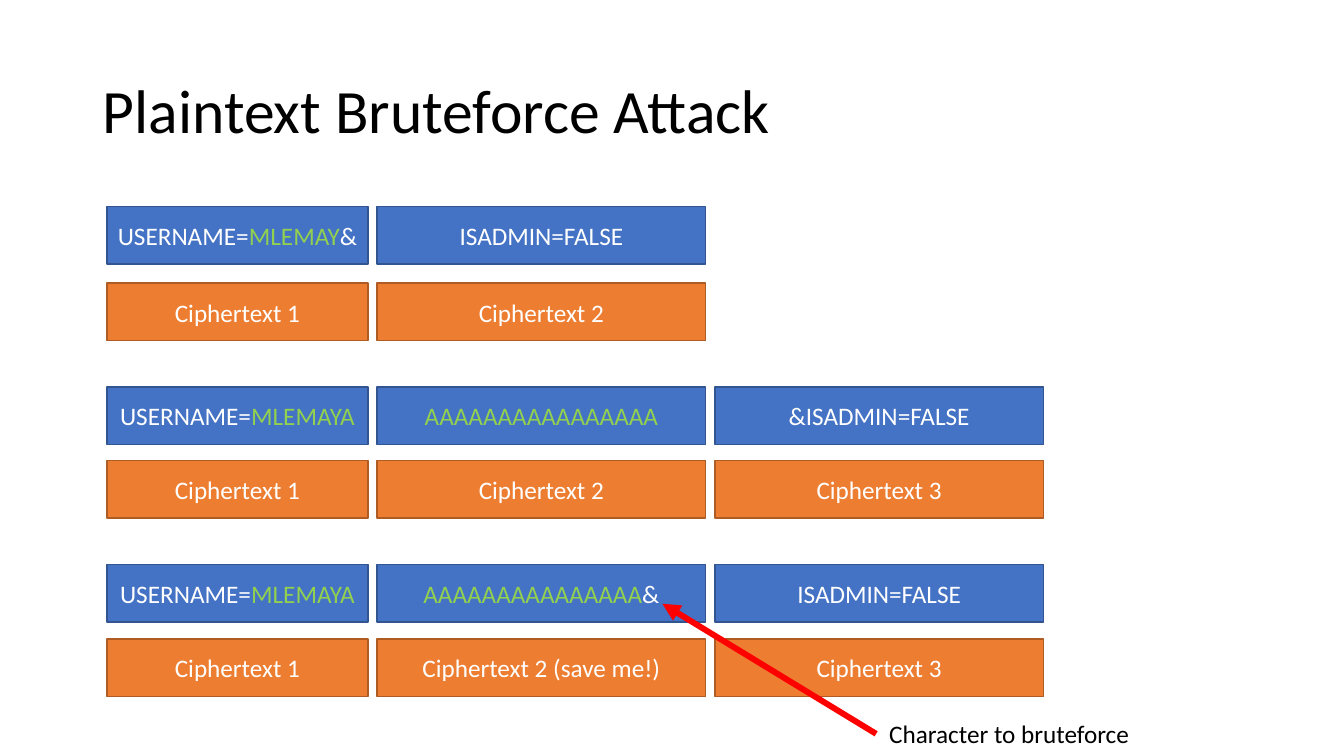
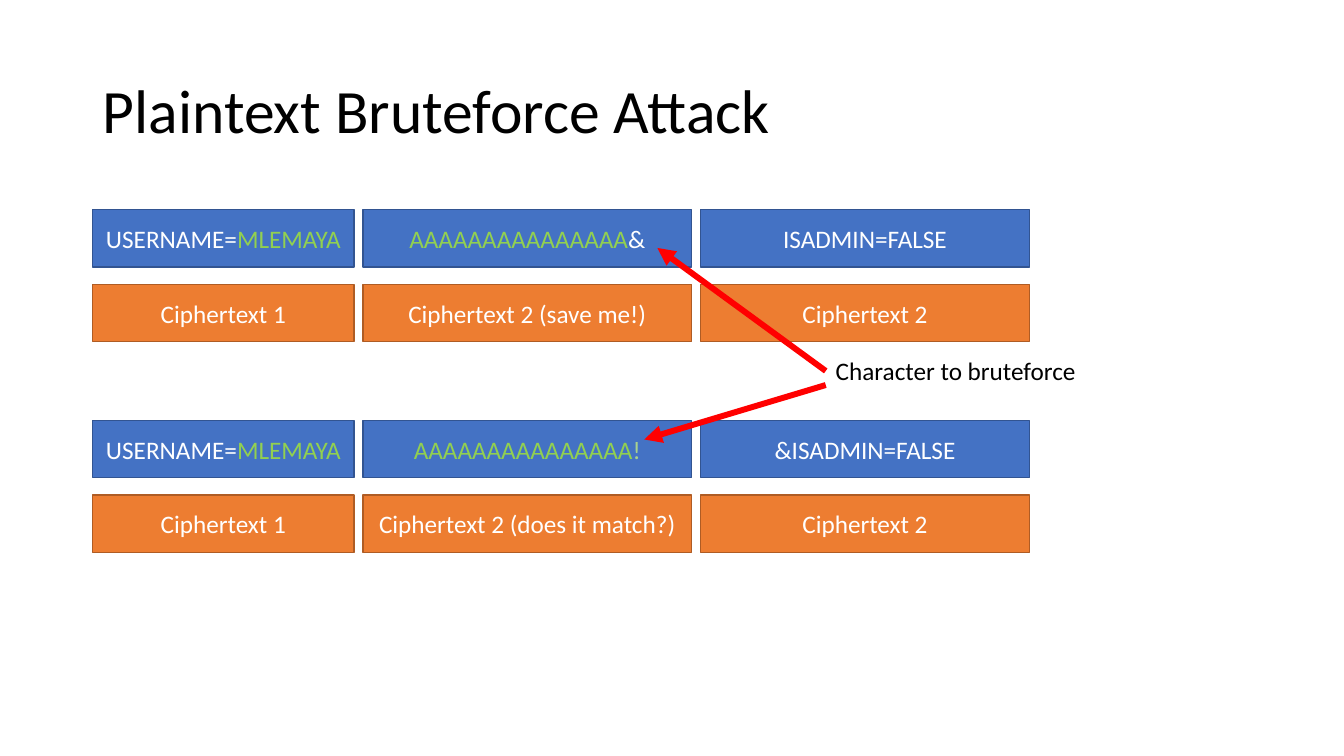
"""Build two slides on a plaintext bruteforce attack."""
import dataclasses
import itertools

import pptx
import pptx.dml.color
import pptx.enum.shapes
import pptx.enum.text
import pptx.oxml
import pptx.oxml.ns
import pptx.util

Inches = pptx.util.Inches
Pt = pptx.util.Pt
Align = pptx.enum.text.PP_ALIGN
Anchor = pptx.enum.text.MSO_ANCHOR
Fit = pptx.enum.text.MSO_AUTO_SIZE


@dataclasses.dataclass(frozen=True)
class Theme:
    """Hold the colours, type sizes and line widths of the deck."""
    font: str = "Calibri"
    text: str = "000000"
    light: str = "FFFFFF"
    user: str = "92D050"
    guess: str = "A9D18E"
    plain: tuple = ("4472C4", "325491")
    cipher: tuple = ("ED7D31", "AF5C24")
    arrow: str = "FF0000"
    head_size: int = 44
    text_size: int = 18
    edge: float = 1
    stroke: float = 4.25


THEME = Theme()
WIDTHS = (2.59, 3.26, 3.26)
HEIGHT = 0.57
GAP = 0.09
TITLE = "Plaintext Bruteforce Attack"
LABEL = "Character to bruteforce"

NAME = [("USERNAME=", THEME.light), ("MLEMAYA", THEME.user)]
SHORT = [("USERNAME=", THEME.light), ("MLEMAY", THEME.user), ("&", THEME.light)]
FULL = [("A" * 16, THEME.user)]
OPEN = [("A" * 15, THEME.user), ("&", THEME.light)]
GUESS = [("A" * 15, THEME.user), ("!", THEME.guess)]
ADMIN = [("ISADMIN=FALSE", THEME.light)]
JOINED = [("&ISADMIN=FALSE", THEME.light)]


def rgb(code):
    """Turn a hex code into a colour."""
    return pptx.dml.color.RGBColor.from_string(code)


def write(para, runs, size=THEME.text_size):
    """Add pairs of text and colour to a paragraph, run by run."""
    for text, color in runs:
        run = para.add_run()
        run.text = text
        run.font.name = THEME.font
        run.font.size = Pt(size)
        run.font.color.rgb = rgb(color)


def add_title(slide, left, top, width, height):
    """Place and fill the title of a slide."""
    title = slide.shapes.title
    title.left, title.top = Inches(left), Inches(top)
    title.width, title.height = Inches(width), Inches(height)
    frame = title.text_frame
    frame.auto_size = Fit.NONE
    frame.vertical_anchor = Anchor.MIDDLE
    para = frame.paragraphs[0]
    para.alignment = Align.LEFT
    para.line_spacing = 0.9
    write(para, [(TITLE, THEME.text)], THEME.head_size)


def add_block(slide, left, top, width, paint, runs):
    """Draw one block of plain or cipher text."""
    block = slide.shapes.add_shape(
        pptx.enum.shapes.MSO_SHAPE.RECTANGLE,
        Inches(left), Inches(top), Inches(width), Inches(HEIGHT))
    block.shadow.inherit = False
    fill, edge = paint
    block.fill.solid()
    block.fill.fore_color.rgb = rgb(fill)
    block.line.color.rgb = rgb(edge)
    block.line.width = Pt(THEME.edge)
    frame = block.text_frame
    frame.word_wrap = True
    frame.vertical_anchor = Anchor.MIDDLE
    para = frame.paragraphs[0]
    para.alignment = Align.CENTER
    write(para, runs)


def add_pair(slide, left, top, step, plain, cipher):
    """Draw a row of plain blocks with its row of cipher blocks below."""
    starts = itertools.accumulate(WIDTHS, lambda x, w: x + w + GAP, initial=left)
    for x, width, runs, tail in zip(starts, WIDTHS, plain, cipher):
        add_block(slide, x, top, width, THEME.plain, runs)
        add_block(slide, x, top + step, width, THEME.cipher,
                  [(f"Ciphertext {tail}", THEME.light)])


def add_arrow(slide, start, end):
    """Draw an arrow from start to end."""
    arrow = slide.shapes.add_connector(
        pptx.enum.shapes.MSO_CONNECTOR.STRAIGHT,
        *(Inches(value) for value in (*start, *end)))
    arrow.line.color.rgb = rgb(THEME.arrow)
    arrow.line.width = Pt(THEME.stroke)
    tip = pptx.oxml.parse_xml(
        f'<a:tailEnd {pptx.oxml.ns.nsdecls("a")} type="triangle"/>')
    arrow.line._get_or_add_ln().append(tip)
    arrow._element.spPr.append(pptx.oxml.parse_xml(
        f'<a:effectLst {pptx.oxml.ns.nsdecls("a")}/>'))


def add_label(slide, left, top):
    """Write the label at the foot of the arrows."""
    box = slide.shapes.add_textbox(
        Inches(left), Inches(top), Inches(2.61), Inches(0.4))
    frame = box.text_frame
    frame.word_wrap = False
    frame.auto_size = Fit.SHAPE_TO_FIT_TEXT
    write(frame.paragraphs[0], [(LABEL, THEME.text)])


def add_slide(deck, left, pairs, label, arrows):
    """Add a slide of block pairs, a label and its arrows."""
    slide = deck.slides.add_slide(deck.slide_layouts[5])
    add_title(slide, 0.92, 0.4, 11.5, 1.45)
    for pair in pairs:
        add_pair(slide, left, *pair)
    for start, end in arrows:
        add_arrow(slide, start, end)
    add_label(slide, *label)


def main():
    """Build and save the deck."""
    deck = pptx.Presentation()
    deck.slide_width, deck.slide_height = Inches(13.33), Inches(7.5)
    add_slide(
        deck, 1.06,
        [(2.05, 0.76, [SHORT, ADMIN], ["1", "2"]),
         (3.84, 0.73, [NAME, FULL, JOINED], ["1", "2", "3"]),
         (5.6, 0.74, [NAME, OPEN, ADMIN], ["1", "2 (save me!)", "3"])],
        (8.72, 7.08),
        [((8.69, 7.28), (6.57, 5.99))])
    add_slide(
        deck, 0.92,
        [(2.08, 0.74, [NAME, OPEN, ADMIN], ["1", "2 (save me!)", "2"]),
         (4.17, 0.74, [NAME, GUESS, JOINED], ["1", "2 (does it match?)", "2"])],
        (8.19, 3.48),
        [((8.19, 3.68), (6.52, 2.46)), ((8.19, 3.82), (6.39, 4.36))])
    deck.save("out.pptx")


if __name__ == "__main__":
    main()
